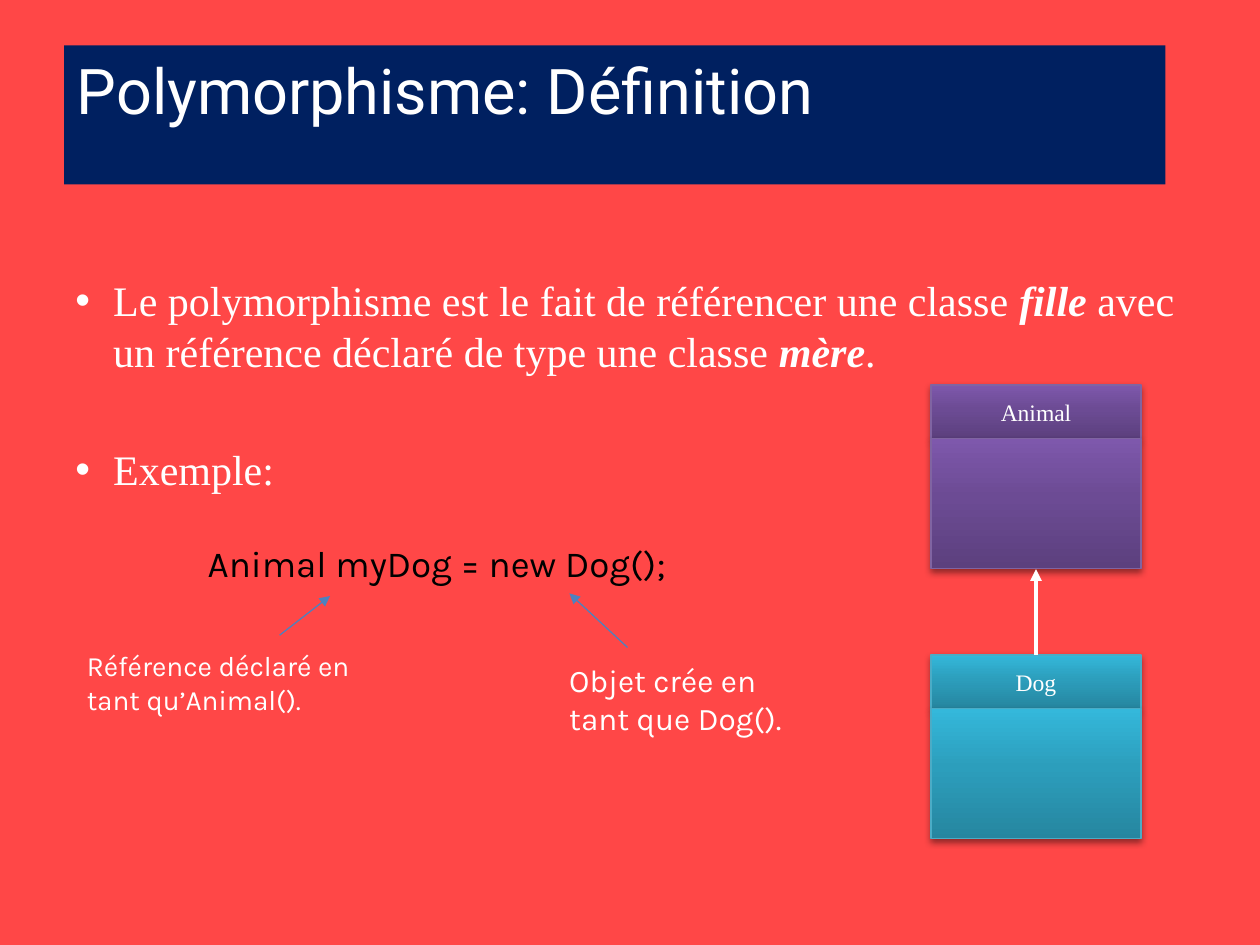
from dataclasses import dataclass

from lxml import etree
from pptx import Presentation, util as u
from pptx.dml import color
from pptx.enum import shapes, text
from pptx.oxml import ns


@dataclass(frozen=True)
class Theme:
    """Colours, fonts and type sizes of the slide."""
    background: str = "FF4747"
    banner: str = "002060"
    light: str = "FFFFFF"
    dark: str = "000000"
    pointer: str = "4F81BD"
    title_font: str = "Roboto"
    body_font: str = "Times New Roman"
    code_font: str = "Karla"
    title_size: float = 36
    body_size: float = 24
    code_size: float = 21
    object_size: float = 18
    reference_size: float = 16
    class_size: float = 13.5


@dataclass(frozen=True)
class Label:
    """A text box whose lines are separate paragraphs."""
    lines: tuple[str, ...]
    box: tuple[float, float, float, float]
    size: float
    ink: str
    wrap: bool = True


@dataclass(frozen=True)
class ClassBox:
    """A class drawn as a header over an empty body."""
    name: str
    top: float
    stops: tuple[str, str, str]
    border: str


@dataclass(frozen=True)
class Arrow:
    """A line with an arrowhead at its end."""
    start: tuple[float, float]
    end: tuple[float, float]
    ink: str
    weight: float


THEME = Theme()
CLASS_LEFT, CLASS_WIDTH, HEADER_HEIGHT, BODY_HEIGHT = 532, 120, 30.7, 74.3
STOP_POSITIONS = (0, 55, 100)

CLASSES = (
    ClassBox("Animal", 220, ("5C407E", "6C4B94", "7E58AC"), "8064A2"),
    ClassBox("Dog", 374.3, ("2686A0", "2C9EBC", "34B8DB"), "4BACC6"),
)
LABELS = (
    Label(("Animal myDog = new Dog(); ",), (111.6, 305.3, 283.7, 32.4),
          THEME.code_size, THEME.dark, wrap=False),
    Label(("Référence déclaré en", "tant qu’Animal()."), (42.5, 367.2, 190, 46),
          THEME.reference_size, THEME.light),
    Label(("Objet crée en ", "tant que Dog()."), (318.2, 374.4, 166.3, 51),
          THEME.object_size, THEME.light),
)
ARROWS = (
    Arrow((592, 374.4), (592, 325.2), THEME.light, 2.25),
    Arrow((159.8, 363), (188.6, 340.6), THEME.pointer, 0.75),
    Arrow((358.6, 370), (325.4, 339.1), THEME.pointer, 0.75),
)
BULLETS = (
    (4.8, (("Le polymorphisme est le fait de référencer une classe ", False),
           ("fille", True),
           (" avec un référence déclaré de type une classe ", False),
           ("mère", True), (".", False))),
    (39, (("Exemple: ", False),)),
)


def rgb(code: str) -> color.RGBColor:
    """Turn a hex code into a colour."""
    return color.RGBColor.from_string(code)


def points(values) -> list:
    """Turn numbers into lengths in points."""
    return [u.Pt(value) for value in values]


def sub(parent, tag: str, **attributes):
    """Append a drawing element to a parent."""
    return etree.SubElement(parent, ns.qn(tag), attributes)


def add_run(paragraph, wording: str, font: str, size: float, ink: str, strong: bool = False) -> None:
    """Add one formatted run; strong text is bold and italic."""
    run = paragraph.add_run()
    run.text = wording
    run.font.name, run.font.size = font, u.Pt(size)
    run.font.color.rgb = rgb(ink)
    run.font.bold = run.font.italic = strong


def add_title(slide) -> None:
    """Place the title on its banner."""
    title = slide.shapes.title
    title.left, title.top, title.width, title.height = points((36.7, 26, 629.3, 79.4))
    title.fill.solid()
    title.fill.fore_color.rgb = rgb(THEME.banner)
    frame = title.text_frame
    frame.vertical_anchor = text.MSO_ANCHOR.TOP
    frame.auto_size = text.MSO_AUTO_SIZE.NONE
    paragraph = frame.paragraphs[0]
    paragraph.alignment = text.PP_ALIGN.LEFT
    add_run(paragraph, "Polymorphisme: Définition ", THEME.title_font, THEME.title_size, THEME.light)


def add_definition(slide) -> None:
    """Write the bulleted definition."""
    frame = slide.shapes.add_textbox(*points((36, 153.4, 648, 134.6))).text_frame
    frame.word_wrap = True
    for index, (gap, pieces) in enumerate(BULLETS):
        paragraph = frame.add_paragraph() if index else frame.paragraphs[0]
        paragraph.space_before = u.Pt(gap)
        properties = paragraph._p.get_or_add_pPr()
        properties.set("marL", str(u.Pt(21.6)))
        properties.set("indent", str(-u.Pt(21.6)))
        sub(properties, "a:buFont", typeface="Arial")
        sub(properties, "a:buChar", char="•")
        for wording, strong in pieces:
            add_run(paragraph, wording, THEME.body_font, THEME.body_size, THEME.light, strong)


def add_label(slide, label: Label) -> None:
    """Write a code line or a remark."""
    frame = slide.shapes.add_textbox(*points(label.box)).text_frame
    frame.word_wrap = label.wrap
    frame.auto_size = text.MSO_AUTO_SIZE.SHAPE_TO_FIT_TEXT
    for index, line in enumerate(label.lines):
        paragraph = frame.add_paragraph() if index else frame.paragraphs[0]
        add_run(paragraph, line, THEME.code_font, label.size, label.ink)


def add_compartment(group, entity: ClassBox, top: float, height: float):
    """Draw one shaded, shadowed part of a class."""
    part = group.shapes.add_shape(shapes.MSO_SHAPE.RECTANGLE,
                                  *points((CLASS_LEFT, top, CLASS_WIDTH, height)))
    part.fill.gradient()
    part.fill.gradient_angle = 90
    part.line.color.rgb = rgb(entity.border)
    part.line.width = u.Pt(0.75)
    part.shadow.inherit = False
    properties = part._element.spPr
    stops = properties.find(".//" + ns.qn("a:gsLst"))
    for stop in list(stops):
        stops.remove(stop)
    for position, code in zip(STOP_POSITIONS, entity.stops):
        sub(sub(stops, "a:gs", pos=str(position * 1000)), "a:srgbClr", val=code)
    shadow = sub(properties.find(ns.qn("a:effectLst")), "a:outerShdw", blurRad=str(u.Pt(4)),
                 dist=str(u.Pt(2)), dir="5400000", rotWithShape="0")
    sub(sub(shadow, "a:srgbClr", val=THEME.dark), "a:alpha", val="44000")
    return part


def add_class(slide, entity: ClassBox) -> None:
    """Draw a class as a group of header and body."""
    group = slide.shapes.add_group_shape()
    header = add_compartment(group, entity, entity.top, HEADER_HEIGHT)
    add_compartment(group, entity, entity.top + HEADER_HEIGHT, BODY_HEIGHT)
    header.text_frame.vertical_anchor = text.MSO_ANCHOR.MIDDLE
    paragraph = header.text_frame.paragraphs[0]
    paragraph.alignment = text.PP_ALIGN.CENTER
    add_run(paragraph, entity.name, THEME.body_font, THEME.class_size, THEME.light)


def add_arrow(slide, arrow: Arrow) -> None:
    """Draw an arrow without shadow."""
    line = slide.shapes.add_connector(shapes.MSO_CONNECTOR.STRAIGHT,
                                      *points(arrow.start + arrow.end))
    line.line.color.rgb = rgb(arrow.ink)
    line.line.width = u.Pt(arrow.weight)
    sub(line.line._get_or_add_ln(), "a:tailEnd", type="triangle")
    sub(line._element.spPr, "a:effectLst")


def main() -> None:
    """Build and save the slide."""
    deck = Presentation()
    deck.slide_width, deck.slide_height = points((720, 540))
    slide = deck.slides.add_slide(deck.slide_layouts[5])
    slide.background.fill.solid()
    slide.background.fill.fore_color.rgb = rgb(THEME.background)
    add_title(slide)
    add_definition(slide)
    for draw, items in ((add_class, CLASSES), (add_label, LABELS), (add_arrow, ARROWS)):
        for item in items:
            draw(slide, item)
    deck.save("out.pptx")


main()
